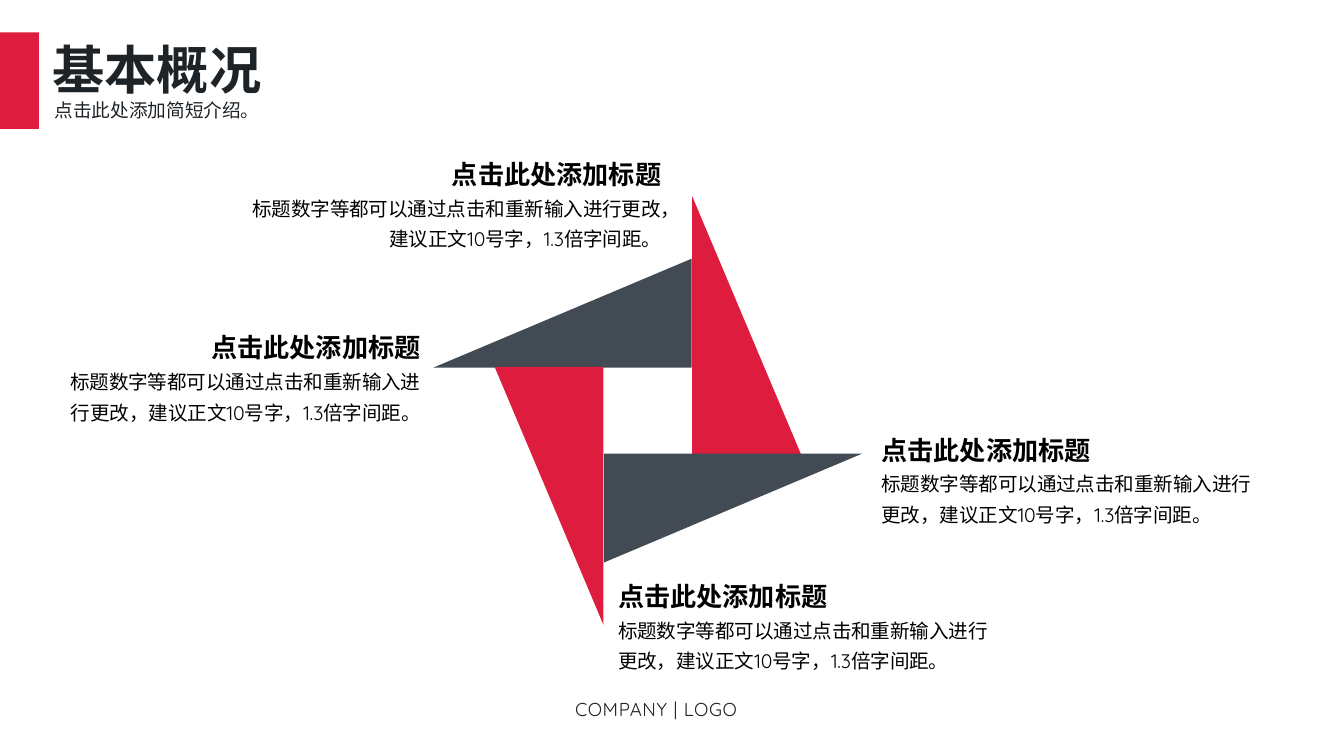
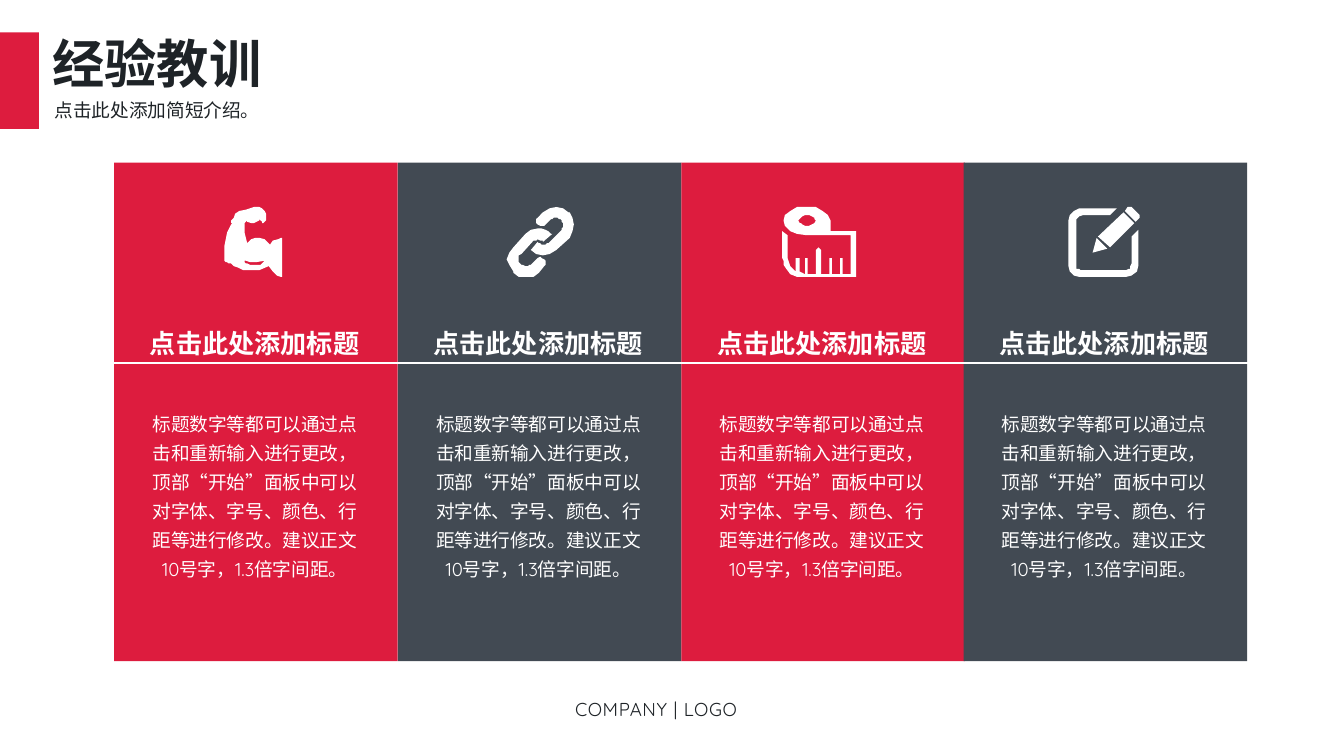
from dataclasses import dataclass

from pptx import Presentation
from pptx.dml.color import RGBColor
from pptx.enum.shapes import MSO_CONNECTOR, MSO_SHAPE
from pptx.enum.text import MSO_ANCHOR, MSO_AUTO_SIZE, PP_ALIGN as Align
from pptx.oxml.xmlchemy import OxmlElement
from pptx.shapes.base import BaseShape
from pptx.slide import Slide
from pptx.text.text import TextFrame
from pptx.util import Emu, Pt

PX = 9144
FONT = "Quicksand"
RED, SLATE, INK = "DD1C3E", "424A53", "1E2327"
BLACK, WHITE = "000000", "FFFFFF"
HEADING = "点击此处添加标题"
ADVICE = "标题数字等都可以通过点击和重新输入进行更改，建议正文10号字，1.3倍字间距。"
LESSON = (
    "标题数字等都可以通过点击和重新输入进行更改，顶部“开始”面板中可以"
    "对字体、字号、颜色、行距等进行修改。建议正文10号字，1.3倍字间距。"
)


@dataclass(frozen=True)
class Frame:
    left: int
    top: int
    width: int
    height: int


@dataclass(frozen=True)
class Blade:
    frame: Frame
    rotation: int
    color: str


@dataclass(frozen=True)
class Note:
    frame: Frame
    align: Align


@dataclass(frozen=True)
class Column:
    color: str
    icon: tuple[str, ...]


BLADES = (
    Blade(Frame(515, 146, 81, 192), 0, RED),
    Blade(Frame(378, 137, 81, 192), 270, SLATE),
    Blade(Frame(368, 273, 81, 192), 180, RED),
    Blade(Frame(505, 282, 81, 192), 90, SLATE),
)
NOTES = (
    Note(Frame(646, 311, 306, 86), Align.LEFT),
    Note(Frame(31, 235, 292, 86), Align.RIGHT),
    Note(Frame(170, 106, 332, 86), Align.RIGHT),
    Note(Frame(450, 420, 301, 86), Align.LEFT),
)

ARM = (
    "182,194 182,195 183,196 184,196 186,197 187,197 189,197 191,197 194,197 "
    "195,196 196,195 197,194 191,195 186,195 183,194",
    "193,154 195,155 197,157 198,159 198,161 198,163 198,164 197,165 196,166 "
    "195,166 195,165 194,164 193,163 193,164 189,166 187,166 184,165 184,164 "
    "182,166 182,169 182,173 183,177 184,181 185,180 187,178 190,177 193,177 "
    "197,178 201,182 203,179 207,178 209,177 210,177 210,206 209,206 206,205 "
    "203,202 200,198 193,201 186,201 181,201 177,199 174,198 172,196 170,196 "
    "169,195 168,195 167,194 167,192 167,188 167,183 168,178 169,173 171,169 "
    "172,167 173,166 172,166 172,164 174,162 175,159 178,157 183,156 189,154",
)
CHAIN = (
    "400,170 403,170 406,171 408,172 409,173 410,174 411,174 404,180 404,179 "
    "403,179 402,179 400,178 399,179 398,179 397,179 388,189 386,190 386,191 "
    "386,194 386,195 388,197 389,197 391,198 393,198 394,197 395,197 399,193 "
    "400,192 402,191 403,192 405,193 406,194 406,195 406,197 405,198 401,203 "
    "397,206 391,206 386,206 382,203 382,202 379,197 377,193 379,188 382,184 "
    "391,174 395,171",
    "414,154 419,155 423,158 424,158 426,162 427,167 426,172 424,177 414,186 "
    "409,189 404,190 399,189 395,186 400,180 401,181 402,181 403,182 404,182 "
    "406,182 407,181 408,181 418,171 418,170 419,169 419,166 418,165 418,164 "
    "417,163 416,163 415,162 414,162 412,162 411,163 410,163 406,167 405,168 "
    "403,168 402,168 400,167 399,166 399,164 399,163 400,162 404,158 409,155",
)
TAPE = (
    "601,160 599,160 597,161 596,162 595,163 594,164 595,166 596,166 597,167 "
    "599,168 601,168 602,168 604,167 606,166 607,164 606,163 606,162 604,161 "
    "602,160",
    "601,154 607,154 612,157 616,160 618,164 618,172 637,172 637,206 600,206 "
    "593,206 588,204 585,200 583,197 583,194 582,192 582,172 586,175 586,192 "
    "587,195 588,198 592,202 592,192 595,192 595,202 597,203 599,204 599,192 "
    "601,192 601,204 607,204 607,186 608,185 609,184 610,185 611,186 611,204 "
    "617,204 617,192 619,192 619,204 625,204 625,192 627,192 627,204 633,204 "
    "633,175 600,175 593,174 588,172 584,168 583,164 584,160 588,157 593,154",
)
PENCIL = (
    "816,177 824,185 813,188",
    "836,158 844,166 826,184 817,176",
    "803,155 831,155 826,160 806,160 803,161 802,162 801,163 801,165 801,198 "
    "801,200 803,200 804,201 806,201 837,201 838,201 840,200 841,200 841,198 "
    "842,196 842,176 847,171 847,198 846,202 842,205 838,206 803,206 799,205 "
    "796,202 795,198 795,164 796,160 799,157",
    "841,154 842,154 848,160 848,162 847,163 845,165 837,157 839,154",
)
COLUMNS = (
    Column(RED, ARM),
    Column(SLATE, CHAIN),
    Column(RED, TAPE),
    Column(SLATE, PENCIL),
)


def px(length: int) -> Emu:
    return Emu(length * PX)


def bounds(frame: Frame) -> tuple[Emu, Emu, Emu, Emu]:
    return px(frame.left), px(frame.top), px(frame.width), px(frame.height)


def rgb(color: str) -> RGBColor:
    return RGBColor.from_string(color)


def paint(shape: BaseShape, color: str) -> None:
    shape.fill.solid()
    shape.fill.fore_color.rgb = rgb(color)
    shape.line.fill.background()
    shape.shadow.inherit = False


def add_figure(slide: Slide, kind: MSO_SHAPE, frame: Frame, color: str) -> BaseShape:
    shape = slide.shapes.add_shape(kind, *bounds(frame))
    paint(shape, color)
    return shape


def fit(box: TextFrame) -> TextFrame:
    box.word_wrap = True
    box.auto_size = MSO_AUTO_SIZE.SHAPE_TO_FIT_TEXT
    box.vertical_anchor = MSO_ANCHOR.TOP
    return box


def add_box(slide: Slide, frame: Frame) -> TextFrame:
    return fit(slide.shapes.add_textbox(*bounds(frame)).text_frame)


def write(
    box: TextFrame,
    text: str,
    *,
    size: float,
    color: str,
    bold: bool = False,
    align: Align = Align.LEFT,
    spacing: float = 1.3,
    before: float = 0,
    tracking: int = 0,
) -> None:
    para = box.add_paragraph() if box.text else box.paragraphs[0]
    para.alignment = align
    para.line_spacing = spacing
    para.space_before = Pt(before)
    span = para.add_run()
    span.text = text
    span.font.name = FONT
    span.font.size = Pt(size)
    span.font.bold = bold
    span.font.color.rgb = rgb(color)
    if tracking:
        span._r.get_or_add_rPr().set("spc", str(tracking))


def add_icon(slide: Slide, outlines: tuple[str, ...]) -> None:
    builder = None
    for outline in outlines:
        points = [tuple(map(int, pair.split(","))) for pair in outline.split()]
        if builder is None:
            builder = slide.shapes.build_freeform(*points[0], scale=PX)
        else:
            builder.move_to(*points[0])
        builder.add_line_segments(points[1:], close=True)
    paint(builder.convert_to_shape(), WHITE)


def add_rule(slide: Slide, left: int, right: int, top: int) -> None:
    rule = slide.shapes.add_connector(
        MSO_CONNECTOR.STRAIGHT, px(left), px(top), px(right), px(top)
    )
    rule.line.color.rgb = rgb(WHITE)
    rule.line.width = Pt(0.75)
    rule._element.spPr.append(OxmlElement("a:effectLst"))


def add_page(deck: Presentation, title: str, frame: Frame, spacing: float) -> Slide:
    page = deck.slides.add_slide(deck.slide_layouts[5])
    heading = page.shapes.title
    heading.left, heading.top, heading.width, heading.height = bounds(frame)
    write(fit(heading.text_frame), title, size=28, color=INK, bold=True, spacing=spacing)
    add_figure(page, MSO_SHAPE.RECTANGLE, Frame(0, 24, 29, 72), RED)
    intro = add_box(page, Frame(31, 69, 207, 27))
    write(intro, "点击此处添加简短介绍。", size=10, color=INK, spacing=1.0)
    footer = add_box(page, Frame(418, 509, 165, 31))
    write(footer, "COMPANY | LOGO", size=10, color=INK, tracking=38)
    return page


def build_overview(deck: Presentation) -> None:
    page = add_page(deck, "基本概况", Frame(29, 18, 176, 61), 1.1)
    for blade in BLADES:
        triangle = add_figure(page, MSO_SHAPE.RIGHT_TRIANGLE, blade.frame, blade.color)
        triangle.rotation = blade.rotation
    for note in NOTES:
        box = add_box(page, note.frame)
        write(box, HEADING, size=14, color=BLACK, bold=True, align=note.align)
        write(box, ADVICE, size=10.5, color=BLACK, align=note.align)


def build_lessons(deck: Presentation) -> None:
    page = add_page(deck, "经验教训", Frame(29, 18, 324, 57), 1.0)
    for index, column in enumerate(COLUMNS):
        left = 85 + round(index * 210.8)
        add_figure(page, MSO_SHAPE.RECTANGLE, Frame(left, 121, 211, 371), column.color)
        box = add_box(page, Frame(left + 14, 232, 181, 206))
        write(box, HEADING, size=14, color=WHITE, bold=True, align=Align.CENTER)
        write(box, LESSON, size=10, color=WHITE, align=Align.CENTER, before=25)
        add_icon(page, column.icon)
    add_rule(page, 63, 948, 270)


def main() -> None:
    deck = Presentation()
    deck.slide_width = px(1000)
    deck.slide_height = Emu(deck.slide_width * 9 // 16)
    build_overview(deck)
    build_lessons(deck)
    deck.save("out.pptx")


if __name__ == "__main__":
    main()
